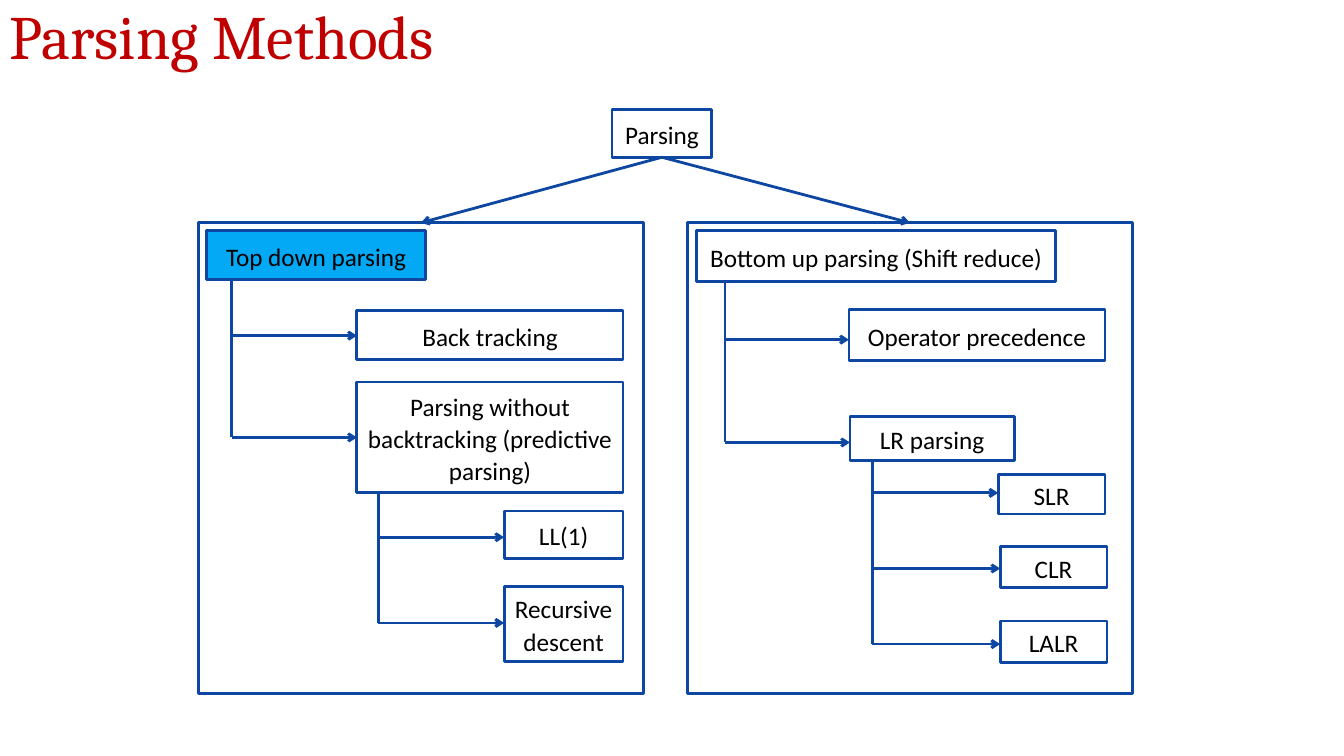
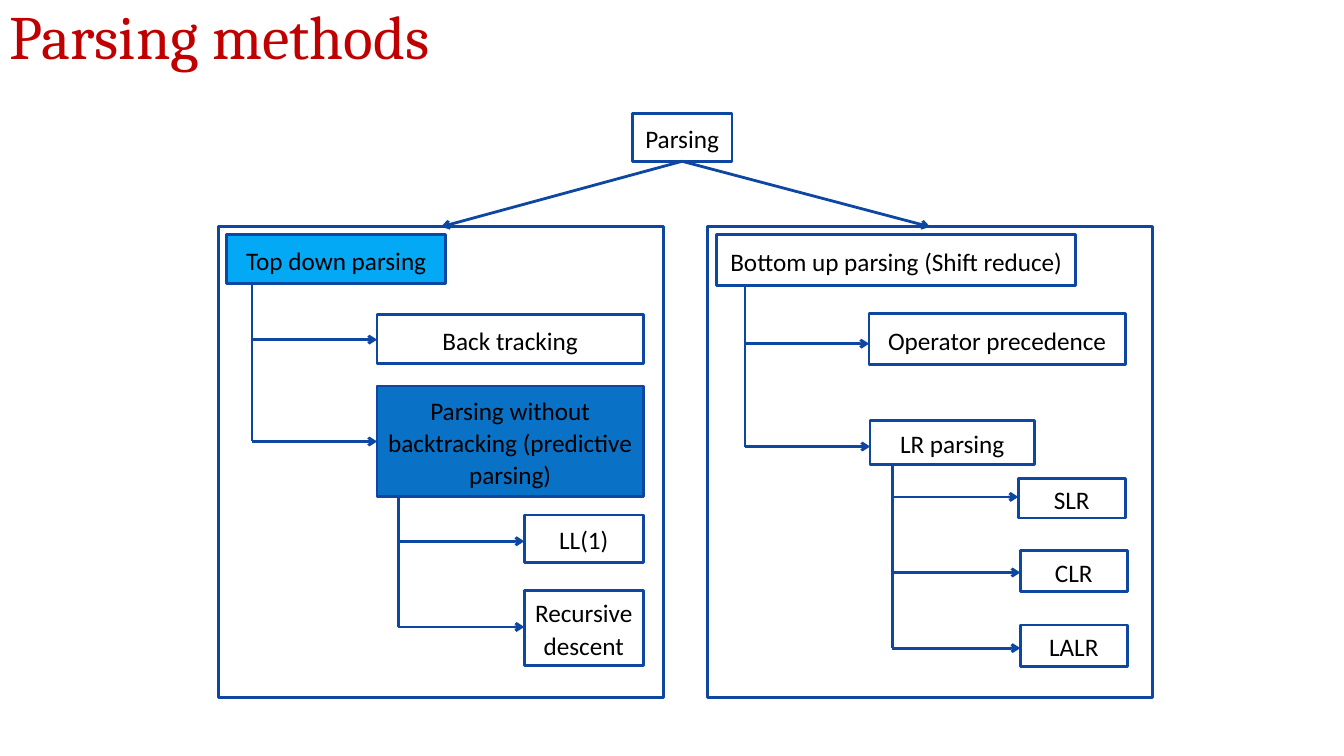
from dataclasses import dataclass, field
from typing import Any

from lxml.etree import SubElement
from pptx import Presentation
from pptx.dml.color import RGBColor
from pptx.enum.shapes import MSO_CONNECTOR, MSO_SHAPE
from pptx.enum.text import MSO_ANCHOR, PP_ALIGN
from pptx.oxml.ns import qn
from pptx.util import Inches, Pt

RED = RGBColor(0xC0, 0x00, 0x00)
BLACK = RGBColor(0x00, 0x00, 0x00)
NAVY = RGBColor(0x0E, 0x47, 0xA1)
SKY = RGBColor(0x03, 0xA9, 0xF5)
BLUE = RGBColor(0x09, 0x72, 0xC6)
WIDE, HIGH = 13.33, 7.5

TOP = "Top down parsing"
GUESS = "Parsing without backtracking (predictive parsing)"

ROOT = ("Parsing", 6.07, 1.09, 0.99, 0.47)
HEADS = [
    (TOP, 2.05, 2.29, 2.17, 0.48),
    ("Bottom up parsing (Shift reduce)", 6.91, 2.29, 3.56, 0.5),
]
FRAMES = [1.97, 6.82]
FRAME_TOP, FRAME_W, FRAME_H = 2.21, 4.41, 4.67

# Each tree: stem x, stem top, then leaves as (arm y, box).
TREES = [
    (2.3, 2.77, [
        (3.33, ("Back tracking", 3.54, 3.08, 2.64, 0.49)),
        (4.34, (GUESS, 3.54, 3.79, 2.64, 1.1)),
    ]),
    (3.75, 4.89, [
        (5.33, ("LL(1)", 5, 5.07, 1.18, 0.47)),
        (6.18, ("Recursive\ndescent", 5, 5.82, 1.18, 0.74)),
    ]),
    (7.19, 2.8, [
        (3.37, ("Operator precedence", 8.42, 3.07, 2.54, 0.51)),
        (4.39, ("LR parsing", 8.43, 4.13, 1.63, 0.44)),
    ]),
    (8.65, 4.57, [
        (4.89, ("SLR", 9.9, 4.71, 1.06, 0.39)),
        (5.64, ("CLR", 9.92, 5.42, 1.06, 0.41)),
        (6.39, ("LALR", 9.92, 6.16, 1.06, 0.41)),
    ]),
]


@dataclass
class View:
    slide: Any
    dx: float = 0
    dy: float = 0
    fills: dict = field(default_factory=dict)

    def place(self, x, y):
        return Inches(x + self.dx), Inches(y + self.dy)


def put_text(frame, text, font="Calibri", size=18, color=BLACK,
             align=PP_ALIGN.CENTER, space=1.07):
    frame.word_wrap = True
    frame.vertical_anchor = MSO_ANCHOR.MIDDLE
    for num, part in enumerate(text.split("\n")):
        para = frame.add_paragraph() if num else frame.paragraphs[0]
        para.text = part
        para.alignment = align
        para.line_spacing = space
        para.font.name = font
        para.font.size = Pt(size)
        para.font.color.rgb = color


def add_title(slide, text):
    box = slide.shapes.add_textbox(0, 0, Inches(WIDE), Inches(0.78))
    put_text(box.text_frame, text, font="Cambria", size=44, color=RED,
             align=PP_ALIGN.LEFT, space=0.9)


def set_line(line):
    line.color.rgb = NAVY
    line.width = Pt(2)


def add_box(view, text, x, y, w, h):
    box = view.slide.shapes.add_shape(
        MSO_SHAPE.RECTANGLE, *view.place(x, y), Inches(w), Inches(h))
    box.shadow.inherit = False
    set_line(box.line)
    if text in view.fills:
        box.fill.solid()
        box.fill.fore_color.rgb = view.fills[text]
    else:
        box.fill.background()
    if text:
        put_text(box.text_frame, text)


def add_line(view, start, end, arrow=False):
    link = view.slide.shapes.add_connector(
        MSO_CONNECTOR.STRAIGHT, *view.place(*start), *view.place(*end))
    set_line(link.line)
    props = link._element.spPr
    if arrow:
        SubElement(props.find(qn("a:ln")), qn("a:tailEnd"), type="arrow")
    SubElement(props, qn("a:effectLst"))


def add_tree(view, stem, top, leaves):
    add_line(view, (stem, top), (stem, leaves[-1][0]))
    for arm, leaf in leaves:
        add_box(view, *leaf)
        add_line(view, (stem, arm), (leaf[1], arm), arrow=True)


def add_chart(view):
    add_box(view, *ROOT)
    _, x, y, w, h = ROOT
    for left, head in zip(FRAMES, HEADS):
        add_box(view, "", left, FRAME_TOP, FRAME_W, FRAME_H)
        add_box(view, *head)
        add_line(view, (x + w / 2, y + h),
                 (left + FRAME_W / 2, FRAME_TOP), arrow=True)
    for tree in TREES:
        add_tree(view, *tree)


def main():
    deck = Presentation()
    deck.slide_width, deck.slide_height = Inches(WIDE), Inches(HIGH)
    pages = [
        ("Parsing Methods", 0, 0, {TOP: SKY}),
        ("Parsing methods", 0.2, 0.04, {TOP: SKY, GUESS: BLUE}),
    ]
    for title, dx, dy, fills in pages:
        slide = deck.slides.add_slide(deck.slide_layouts[6])
        add_title(slide, title)
        add_chart(View(slide, dx, dy, fills))
    deck.save("out.pptx")


if __name__ == "__main__":
    main()
